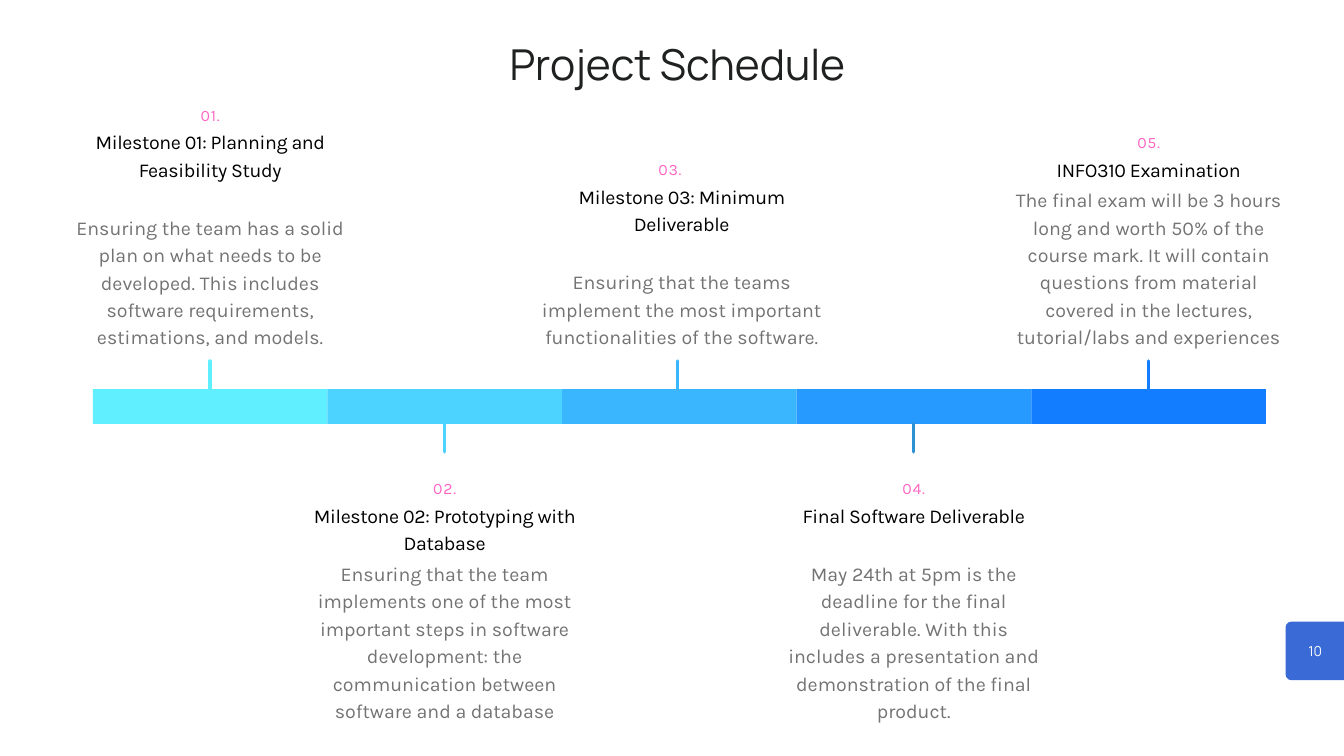
"""Build the project schedule slide: a five-part timeline with milestones."""
from lxml.etree import SubElement
from pptx import Presentation
from pptx.dml.color import RGBColor
from pptx.enum.shapes import MSO_CONNECTOR as Line, MSO_SHAPE as Preset
from pptx.enum.text import PP_ALIGN as Align
from pptx.oxml.ns import qn
from pptx.util import Pt

COLORS = {
    "title": "1F2020", "heading": "000000", "body": "737373",
    "number": "FF66C4", "badge": "3A6AD6", "page": "FFFFFF",
}
BAR_COLORS = ["60EFFF", "4DD3FF", "3AB6FF", "269AFF", "137DFF"]
STEM_COLORS = BAR_COLORS[:3] + ["2C92D5"] + BAR_COLORS[4:]

TITLE = "Project Schedule"
PAGE_NUMBER = "10"
MILESTONES = [
    {"heading": "Milestone 01: Planning and Feasibility Study",
     "body": "Ensuring the team has a solid plan on what needs to be developed. "
             "This includes software requirements, estimations, and models.",
     "center": 225.2, "width": 319, "heading_top": 135.4, "body_top": 226.8},
    {"heading": "Milestone 02: Prototyping with Database",
     "body": "Ensuring that the team implements one of the most important steps in "
             "software development: the communication between software and a database",
     "center": 476.4, "width": 316, "heading_top": 535.7, "body_top": 597.6},
    {"heading": "Milestone 03: Minimum Deliverable",
     "body": "Ensuring that the teams implement the most important "
             "functionalities of the software.",
     "center": 730.4, "width": 309, "heading_top": 193.7, "body_top": 285.1,
     "number_center": 717.8, "stem": 725.8},
    {"heading": "Final Software Deliverable",
     "body": "May 24th at 5pm is the deadline for the final deliverable. With this "
             "includes a presentation and demonstration of the final product.",
     "center": 979, "width": 287.3, "heading_top": 535.7, "body_top": 597.6},
    {"heading": "INFO310 Examination",
     "body": "The final exam will be 3 hours long and worth 50% of the course mark. "
             "It will contain questions from material covered in the lectures, "
             "tutorial/labs and experiences",
     "center": 1230.7, "width": 287.3, "heading_top": 164.9, "body_top": 197.3},
]

BAR_LEFT, BAR_TOP, BAR_WIDTH, BAR_HEIGHT = 99.4, 416.8, 251.4, 37.4
STEM_LENGTH = 30
NUMBER_RISE, NUMBER_WIDTH = 26, 84
BODY_BOTTOM_ABOVE, BODY_BOTTOM_BELOW = 371.5, 771.8

presentation = Presentation()
presentation.slide_width, presentation.slide_height = Pt(1440), Pt(810)
slide = presentation.slides.add_slide(presentation.slide_layouts[6])


def add_text(text, left, top, width, height, *, size, color, leading,
             font="Karla", tracking=0):
    frame = slide.shapes.add_textbox(Pt(left), Pt(top), Pt(width), Pt(height)).text_frame
    frame.word_wrap = True
    frame.margin_left = frame.margin_right = frame.margin_top = frame.margin_bottom = 0
    paragraph = frame.paragraphs[0]
    paragraph.alignment = Align.CENTER
    paragraph.line_spacing = Pt(leading)
    run = paragraph.add_run()
    run.text = text
    run.font.name, run.font.size = font, Pt(size)
    run.font.color.rgb = RGBColor.from_string(COLORS[color])
    if tracking:
        run.font._element.set("spc", str(round(tracking * 100)))


def add_block(preset, left, top, width, height, color):
    block = slide.shapes.add_shape(preset, Pt(left), Pt(top), Pt(width), Pt(height))
    block.shadow.inherit = False
    block.fill.solid()
    block.fill.fore_color.rgb = RGBColor.from_string(color)
    block.line.fill.background()
    return block


def add_stem(x, top, color):
    stem = slide.shapes.add_connector(
        Line.STRAIGHT, Pt(x), Pt(top), Pt(x), Pt(top + STEM_LENGTH))
    stem.line.width = Pt(3.75)
    stem.line.color.rgb = RGBColor.from_string(color)
    stem.line._get_or_add_ln().set("cap", "rnd")
    SubElement(stem._element.spPr, qn("a:effectLst"))


def add_milestone(index, milestone):
    above = index % 2 == 0
    center, width = milestone["center"], milestone["width"]
    heading_top, body_top = milestone["heading_top"], milestone["body_top"]
    left = center - width / 2
    number_left = milestone.get("number_center", center) - NUMBER_WIDTH / 2
    body_bottom = BODY_BOTTOM_ABOVE if above else BODY_BOTTOM_BELOW
    stem_top = BAR_TOP - STEM_LENGTH if above else BAR_TOP + BAR_HEIGHT

    add_stem(milestone.get("stem", center), stem_top, STEM_COLORS[index])
    add_text(f"{index + 1:02}.", number_left, heading_top - NUMBER_RISE, NUMBER_WIDTH, 21.6,
             size=17, color="number", leading=23.8, tracking=0.8)
    add_text(milestone["heading"], left, heading_top, width, 57,
             size=21, color="heading", leading=29.4, tracking=-0.4)
    add_text(milestone["body"], left, body_top, width, body_bottom - body_top,
             size=21, color="body", leading=29.4)


for index, color in enumerate(BAR_COLORS):
    add_block(Preset.RECTANGLE, BAR_LEFT + index * BAR_WIDTH, BAR_TOP,
              BAR_WIDTH, BAR_HEIGHT, color)
for index, milestone in enumerate(MILESTONES):
    add_milestone(index, milestone)

add_text(TITLE, 87.1, 31.7, 1277.3, 64.8,
         size=45.6, color="title", leading=63.9, font="Manrope")
badge = add_block(Preset.ROUNDED_RECTANGLE, 1377.4, 666, 74.9, 62.8, COLORS["badge"])
badge.adjustments[0] = 0.1
add_text(PAGE_NUMBER, 1391.8, 686.2, 34.6, 20.2,
         size=14.7, color="page", leading=20.6, font="Manrope")

presentation.save("out.pptx")
